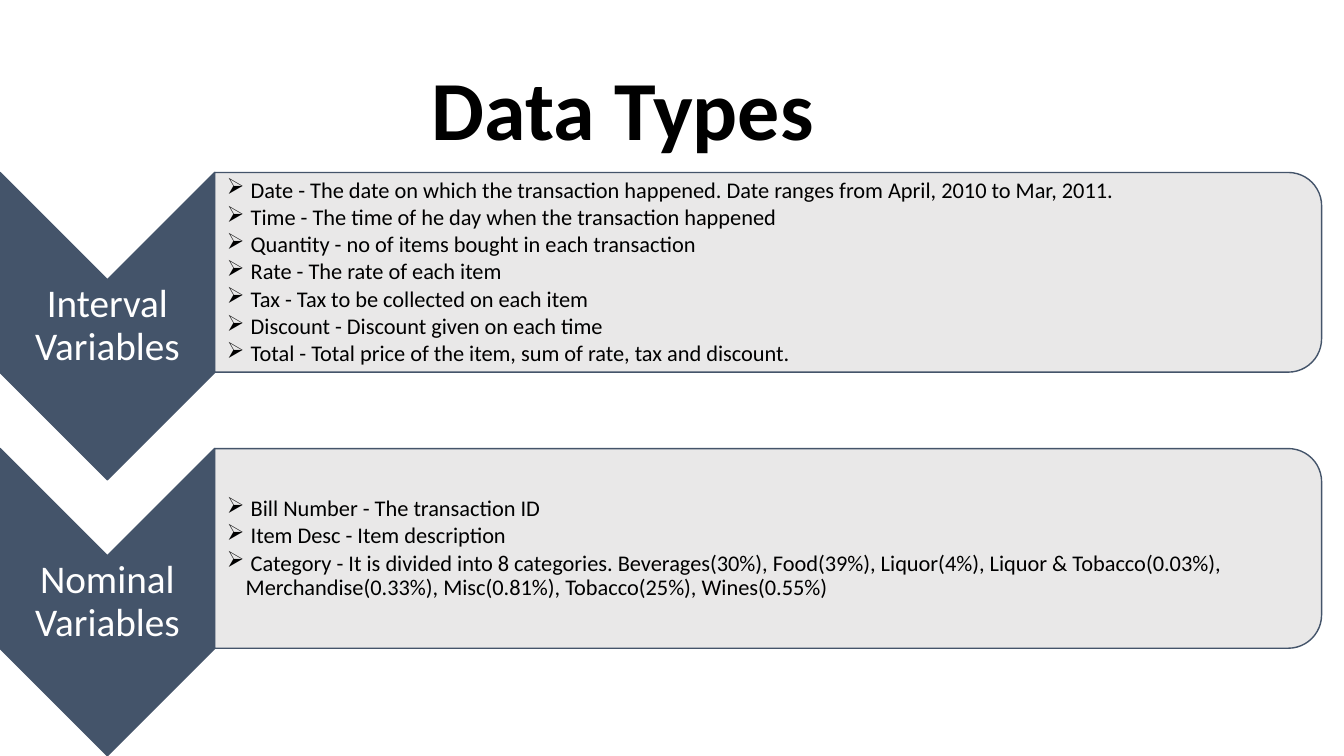
from pptx import Presentation
from pptx.util import Pt
from pptx.dml.color import RGBColor
from pptx.enum.shapes import MSO_SHAPE as Kind
from pptx.enum.text import PP_ALIGN as Align, MSO_ANCHOR as Anchor
from pptx.oxml.ns import qn
from lxml.etree import SubElement as Sub


def hue(code):
    return RGBColor.from_string(code)


def write(box, lines, size, color, pad, after, bold=False, mark=None):
    frame = box.text_frame
    frame.word_wrap = True
    frame.vertical_anchor = Anchor.MIDDLE
    frame.margin_left = Pt(pad[0])
    frame.margin_right = Pt(pad[1])
    frame.margin_top = frame.margin_bottom = Pt(pad[2])
    for i, line in enumerate(lines):
        para = frame.paragraphs[0] if i == 0 else frame.add_paragraph()
        para.alignment = Align.LEFT if mark else Align.CENTER
        para.line_spacing = 0.9
        para.space_after = Pt(after)
        run = para.add_run()
        run.text = line
        run.font.name = "Calibri"
        run.font.size = Pt(size)
        run.font.bold = bold
        run.font.color.rgb = hue(color)
        if mark:
            para.level = 1
            props = para._p.get_or_add_pPr()
            props.set("marL", str(Pt(13.5)))
            props.set("indent", str(Pt(-13.5)))
            Sub(props, qn("a:buChar"), char=mark)


deck = Presentation()
deck.slide_width = Pt(960)
deck.slide_height = Pt(540)
slide = deck.slides.add_slide(deck.slide_layouts[6])
shapes = slide.shapes

title = shapes.add_textbox(Pt(195.84), Pt(28.8), Pt(498.24), Pt(104.4))
write(title, ["Data Types"], 60, "000000", (7.2, 7.2, 3.6), 0, bold=True)

groups = [
    ("Interval Variables", [
        " Date - The date on which the transaction happened. Date ranges from April, 2010 to Mar, 2011.",
        " Time - The time of he day when the transaction happened",
        " Quantity - no of items bought in each transaction",
        " Rate - The rate of each item",
        " Tax - Tax to be collected on each item",
        " Discount - Discount given on each time",
        " Total - Total price of the item, sum of rate, tax and discount.",
    ]),
    ("Nominal Variables", [
        " Bill Number - The transaction ID",
        " Item Desc - Item description",
        " Category - It is divided into 8 categories. Beverages(30%), Food(39%), Liquor(4%), "
        "Liquor & Tobacco(0.03%), Merchandise(0.33%), Misc(0.81%), Tobacco(25%), Wines(0.55%)",
    ]),
]

for row, (name, facts) in enumerate(groups):
    top = 197.2 * row
    arrow = shapes.add_shape(Kind.CHEVRON, Pt(-33.1), Pt(156.2 + top), Pt(219.6), Pt(153.4))
    label = shapes.add_textbox(Pt(0), Pt(200.2 + top), Pt(153.4), Pt(65.5))
    panel = shapes.add_shape(Kind.ROUND_2_SAME_RECTANGLE,
                             Pt(477.4), Pt(-200.8 + top), Pt(142.6), Pt(790.6))
    body = shapes.add_textbox(Pt(153.4), Pt(130.3 + top), Pt(784.1), Pt(128.9))

    for shape, color in ((arrow, "44546A"), (panel, "E7E6E6")):
        shape.rotation = 90
        shape.shadow.inherit = False
        shape.fill.solid()
        shape.fill.fore_color.rgb = hue(color)
        shape.line.color.rgb = hue("44546A")
        shape.line.width = Pt(1)
    tint = panel._element.spPr.find(qn("a:solidFill"))[0]
    Sub(tint, qn("a:alpha"), val="90000")

    write(label, [name], 28, "FFFFFF", (1.4, 1.4, 1.4), 9.8)
    write(body, facts, 16, "000000", (8.6, 0.7, 0.7), 2.2, mark="➢")

deck.save("out.pptx")
